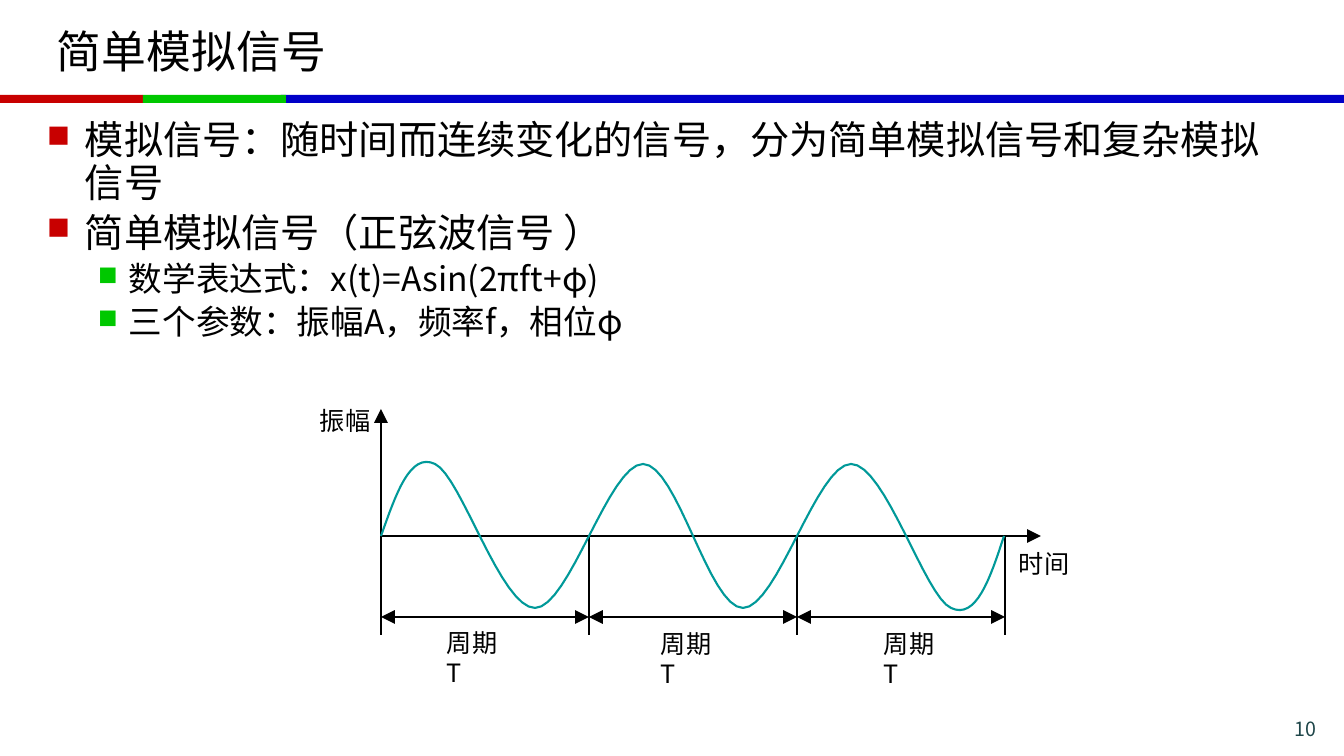
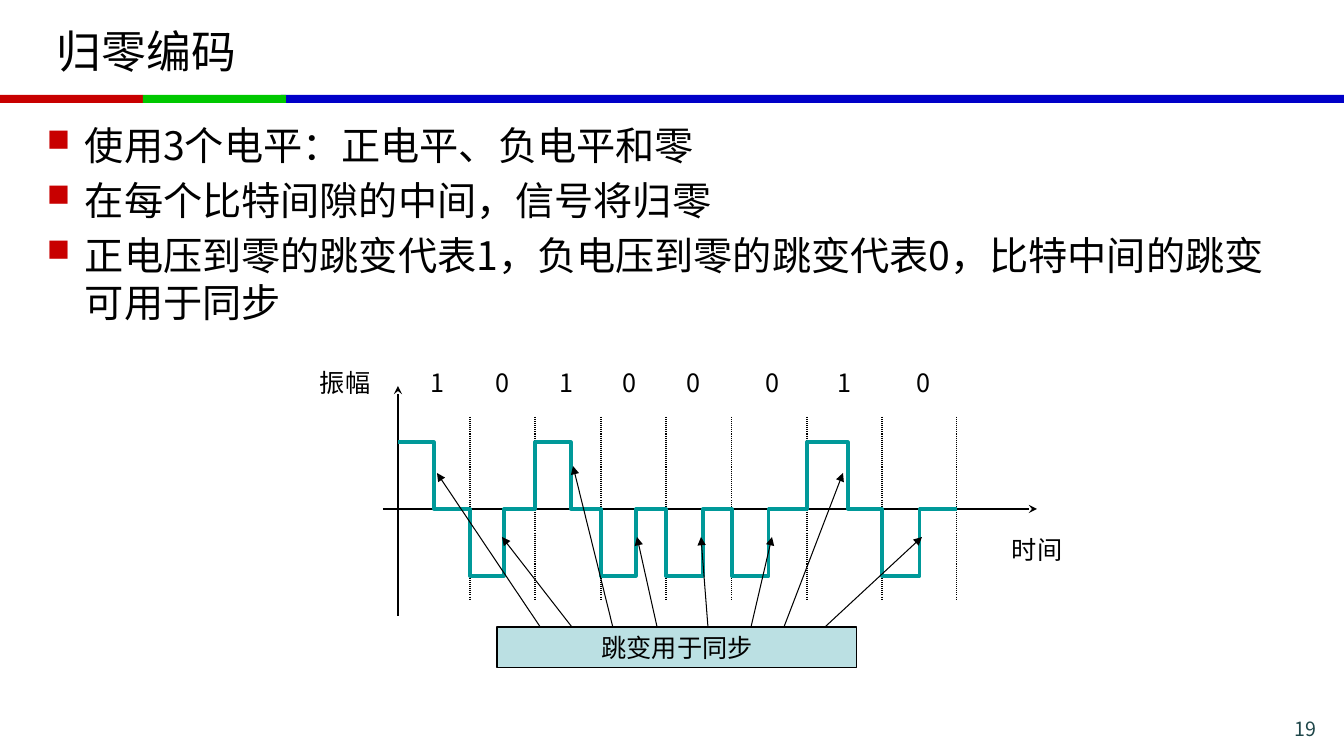
from lxml import etree
from pptx import Presentation
from pptx.dml.color import RGBColor
from pptx.enum.dml import MSO_LINE
from pptx.enum.shapes import MSO_CONNECTOR, MSO_SHAPE
from pptx.enum.text import MSO_ANCHOR, PP_ALIGN
from pptx.oxml.ns import qn
from pptx.util import Emu, Pt

RECT, STRAIGHT = MSO_SHAPE.RECTANGLE, MSO_CONNECTOR.STRAIGHT
LEFT, CENTER, RIGHT = PP_ALIGN.LEFT, PP_ALIGN.CENTER, PP_ALIGN.RIGHT
TOP, MIDDLE = MSO_ANCHOR.TOP, MSO_ANCHOR.MIDDLE
DOTTED = MSO_LINE.ROUND_DOT

# Shared style
W, H = 1344, 756
SCALE = 12192000 / W
FONT = "Noto Sans CJK SC"
BLACK = RGBColor(0x00, 0x00, 0x00)
RED = RGBColor(0xC8, 0x00, 0x00)
GREEN = RGBColor(0x00, 0xC8, 0x00)
BLUE = RGBColor(0x00, 0x00, 0xC8)
TEAL = RGBColor(0x00, 0x99, 0x99)
PALE = RGBColor(0xBB, 0xE0, 0xE3)
SLATE = RGBColor(0x1E, 0x46, 0x49)
BANDS = [(281, 1063, BLUE), (0, 143, RED), (143, 143, GREEN)]
BAND_TOP, BAND_H = 95, 8
TITLE = {"size": Pt(32)}
LABEL = {"size": Pt(18)}
# Bullet levels: text indent, hanging indent, bullet colour, font size
LEVELS = [(38, 38, RED, 28), (82, 31, GREEN, 24)]
INSET = (10, 5)

# Slide content
ANALOG = {
    "title": "简单模拟信号",
    "number": "10",
    "body_h": 356,
    "spacing": 0.9,
    "bullets": [
        (0, "模拟信号：随时间而连续变化的信号，分为简单模拟信号和复杂模拟信号"),
        (0, "简单模拟信号（正弦波信号 ）"),
        (1, "数学表达式：x(t)=Asin(2πft+φ)"),
        (1, "三个参数：振幅A，频率f，相位φ"),
    ],
    "labels": [("振幅", 320, 405, 52), ("时间", 1019, 548, 52),
               ("周期T", 447, 627, 58), ("周期T", 661, 628, 58),
               ("周期T", 884, 628, 58)],
}
RETURN_ZERO = {
    "title": "归零编码",
    "number": "19",
    "body_h": 262,
    "spacing": 1.0,
    "bullets": [
        (0, "使用3个电平：正电平、负电平和零"),
        (0, "在每个比特间隙的中间，信号将归零"),
        (0, "正电压到零的跳变代表1，负电压到零的跳变代表0，"
            "比特中间的跳变可用于同步"),
    ],
    "labels": [("振幅", 320, 367, 52), ("时间", 1012, 534, 52)],
}

# Sine wave: start point, then (control, control, end) per curve
WAVE_START = (381, 536)
WAVE_CURVES = [
    ((396, 494), (410, 452), (435, 464)),
    ((461, 476), (501, 608), (535, 608)),
    ((569, 608), (609, 464), (643, 464)),
    ((677, 464), (709, 608), (743, 608)),
    ((777, 608), (817, 464), (851, 464)),
    ((885, 464), (925, 597), (951, 608)),
    ((976, 620), (990, 579), (1004, 536)),
]
PERIODS, PERIOD_W, CURVE_STEPS = 3, 208, 16

# Return-to-zero signal
BITS = "10100010"
BIT_EDGES = [398, 470, 535, 601, 666, 732, 807, 882, 957]
BIT_DROPS = [434, 504, 571, 636, 703, 769, 848, 920]
BIT_CENTERS = [437, 502, 566, 629, 693, 772, 844, 923]
LEVEL_Y = {"1": 442, "0": 576}
ZERO_Y = 509
SYNC_TEXT = "跳变用于同步"
SYNC_BOX = (497, 627, 360, 41)
SYNC_ARROWS = [
    ((549, 640), (437, 473)), ((582, 640), (502, 537)),
    ((620, 656), (573, 466)), ((779, 640), (843, 473)),
    ((811, 640), (922, 537)), ((748, 640), (772, 537)),
    ((660, 640), (637, 537)), ((709, 640), (701, 537)),
]


def px(n):
    return Emu(round(n * SCALE))


def add_run(p, text, fmt):
    r = p.add_run()
    r.text = text
    values = {"name": FONT, **fmt}
    color = values.pop("color", BLACK)
    for name, value in values.items():
        setattr(r.font, name, value)
    r.font.color.rgb = color
    etree.SubElement(r._r.get_or_add_rPr(), qn("a:ea"), typeface=FONT)


def set_frame(sp, inset=INSET, anchor=TOP):
    tf = sp.text_frame
    dx, dy = map(px, inset)
    fmt = {"word_wrap": True, "vertical_anchor": anchor, "margin_left": dx,
           "margin_right": dx, "margin_top": dy, "margin_bottom": dy}
    for name, value in fmt.items():
        setattr(tf, name, value)
    return tf


def add_text(s, text, box, fmt, align=LEFT, inset=INSET, anchor=TOP):
    sp = s.shapes.add_textbox(*map(px, box))
    p = set_frame(sp, inset, anchor).paragraphs[0]
    p.alignment = align
    add_run(p, text, fmt)


def add_label(s, text, x, y, w, align=LEFT):
    add_text(s, text, (x, y, w, 30), LABEL, align, inset=(0, 0))


def add_rect(s, box, fill):
    sp = s.shapes.add_shape(RECT, *map(px, box))
    sp.shadow.inherit = False
    sp.fill.solid()
    sp.fill.fore_color.rgb = fill
    sp.line.fill.background()
    return sp


def add_line(s, start, end, width, dash=None, head=None, tail=None, size="med"):
    c = s.shapes.add_connector(STRAIGHT, *map(px, start + end))
    c.line.color.rgb = BLACK
    c.line.width = Pt(width)
    if dash:
        c.line.dash_style = dash
    ln = c.line._get_or_add_ln()
    for tag, kind in (("a:headEnd", head), ("a:tailEnd", tail)):
        if kind:
            etree.SubElement(ln, qn(tag), type=kind, w=size, len=size)
    etree.SubElement(c._element.spPr, qn("a:effectLst"))


def add_curve(s, points, width):
    start, *rest = [(px(x), px(y)) for x, y in points]
    fb = s.shapes.build_freeform(*start)
    fb.add_line_segments(rest, close=False)
    sp = fb.convert_to_shape()
    sp.shadow.inherit = False
    sp.fill.background()
    sp.line.color.rgb = TEAL
    sp.line.width = Pt(width)


def add_bullets(s, bullets, height, spacing):
    sp = s.shapes.add_textbox(*map(px, (37, 116, 1270, height)))
    tf = set_frame(sp)
    for i, (level, text) in enumerate(bullets):
        p = tf.paragraphs[0] if i == 0 else tf.add_paragraph()
        indent, hang, color, size = LEVELS[level]
        pPr = p._p.get_or_add_pPr()
        pPr.set("marL", str(px(indent)))
        pPr.set("indent", str(-px(hang)))
        clr = etree.SubElement(pPr, qn("a:buClr"))
        etree.SubElement(clr, qn("a:srgbClr"), val=str(color))
        etree.SubElement(pPr, qn("a:buSzPct"), val="80000")
        etree.SubElement(pPr, qn("a:buChar"), char="■")
        p.level = level
        p.line_spacing = spacing
        p.space_before = Pt(size * 0.2 if i else 0)
        add_run(p, text, {"size": Pt(size)})


def add_slide(prs, content):
    s = prs.slides.add_slide(prs.slide_layouts[6])
    for x, w, color in BANDS:
        add_rect(s, (x, BAND_TOP, w, BAND_H), color)
    add_text(s, content["title"], (47, 8, 1249, 85), TITLE, anchor=MIDDLE)
    add_bullets(s, content["bullets"], content["body_h"], content["spacing"])
    add_text(s, content["number"], (1195, 712, 131, 28),
             {"size": Pt(14), "color": SLATE}, RIGHT)
    for label in content["labels"]:
        add_label(s, *label)
    return s


def bezier(p0, p1, p2, p3, t):
    u = 1 - t
    return tuple(u**3 * a + 3 * u * u * t * b + 3 * u * t * t * c + t**3 * d
                 for a, b, c, d in zip(p0, p1, p2, p3))


def draw_sine(s):
    x0, axis_y = WAVE_START
    # Axes
    add_line(s, (x0, 635), (x0, 409), 1.5, tail="triangle", size="lg")
    add_line(s, (x0, axis_y), (1041, axis_y), 1.5, tail="triangle", size="lg")
    # Period marks
    for i in range(PERIODS):
        left, right = x0 + i * PERIOD_W, x0 + (i + 1) * PERIOD_W
        add_line(s, (right, axis_y), (right, 635), 1.5)
        add_line(s, (left, 617), (right, 617), 1.5,
                 head="triangle", tail="triangle", size="lg")
    # Wave
    points = [WAVE_START]
    for c1, c2, end in WAVE_CURVES:
        start = points[-1]
        points += [bezier(start, c1, c2, end, k / CURVE_STEPS)
                   for k in range(1, CURVE_STEPS + 1)]
    add_curve(s, points, 1.5)


def draw_return_zero(s):
    # Axes and bit slots
    add_line(s, (398, 616), (398, 386), 1.25, tail="stealth")
    add_line(s, (383, ZERO_Y), (1037, ZERO_Y), 1.25, tail="stealth")
    for x in BIT_EDGES[1:]:
        add_line(s, (x, 417), (x, 600), 0.75, dash=DOTTED)
    # Signal
    points = []
    for bit, left, drop, right in zip(BITS, BIT_EDGES, BIT_DROPS, BIT_EDGES[1:]):
        y = LEVEL_Y[bit]
        points += [(left, y), (drop, y), (drop, ZERO_Y), (right, ZERO_Y)]
    add_curve(s, points, 2.25)
    for bit, x in zip(BITS, BIT_CENTERS):
        add_label(s, bit, x - 17, 367, 34, CENTER)
    # Sync arrows and their box
    for start, tip in SYNC_ARROWS:
        add_line(s, start, tip, 0.75, tail="triangle")
    sp = add_rect(s, SYNC_BOX, PALE)
    sp.line.color.rgb = BLACK
    sp.line.width = Pt(0.75)
    p = set_frame(sp, anchor=MIDDLE).paragraphs[0]
    p.alignment = CENTER
    add_run(p, SYNC_TEXT, LABEL)


def main():
    prs = Presentation()
    prs.slide_width, prs.slide_height = px(W), px(H)
    draw_sine(add_slide(prs, ANALOG))
    draw_return_zero(add_slide(prs, RETURN_ZERO))
    prs.save("out.pptx")


if __name__ == "__main__":
    main()
